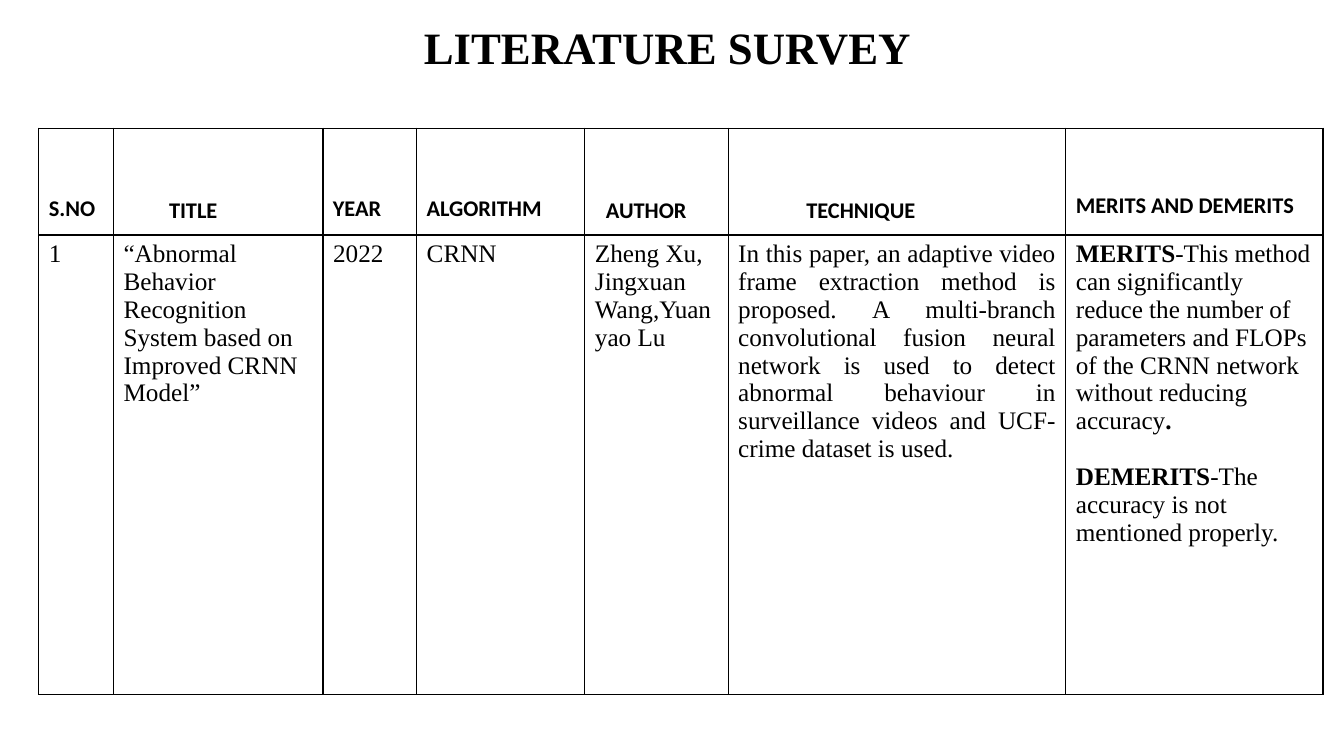
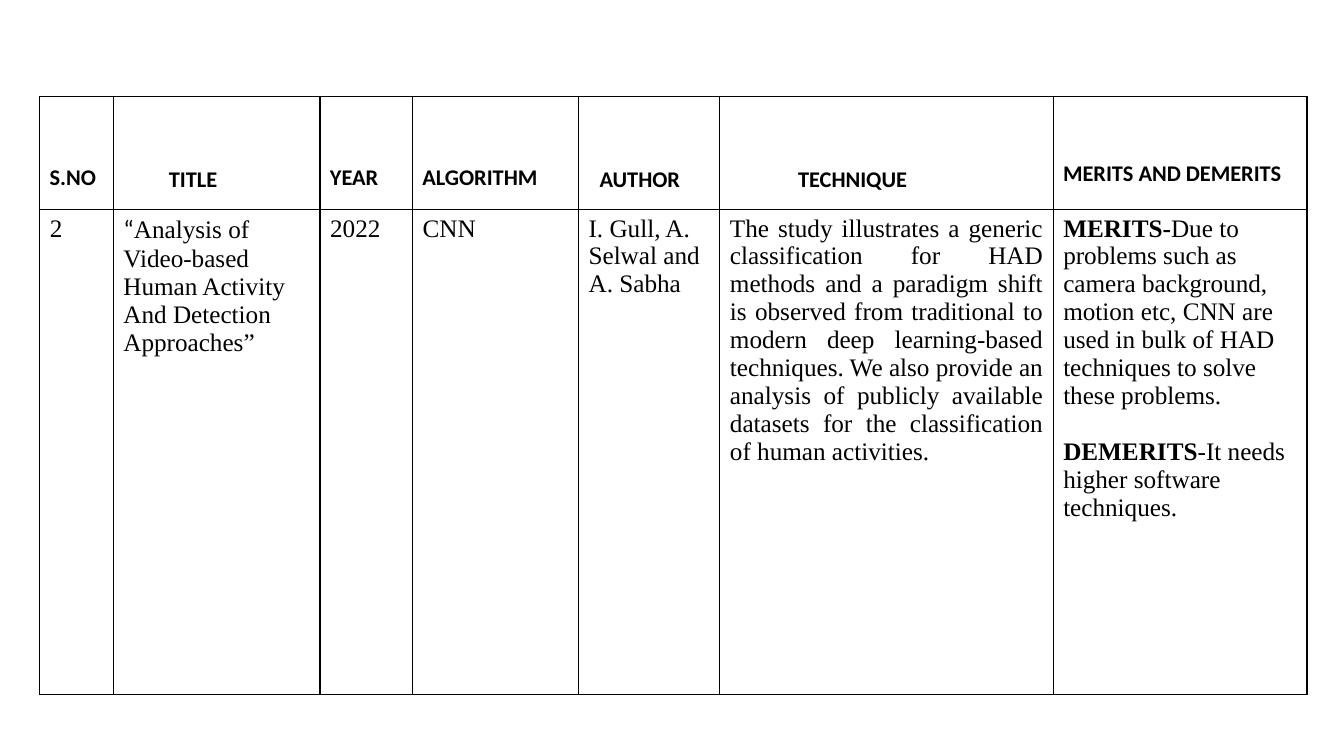
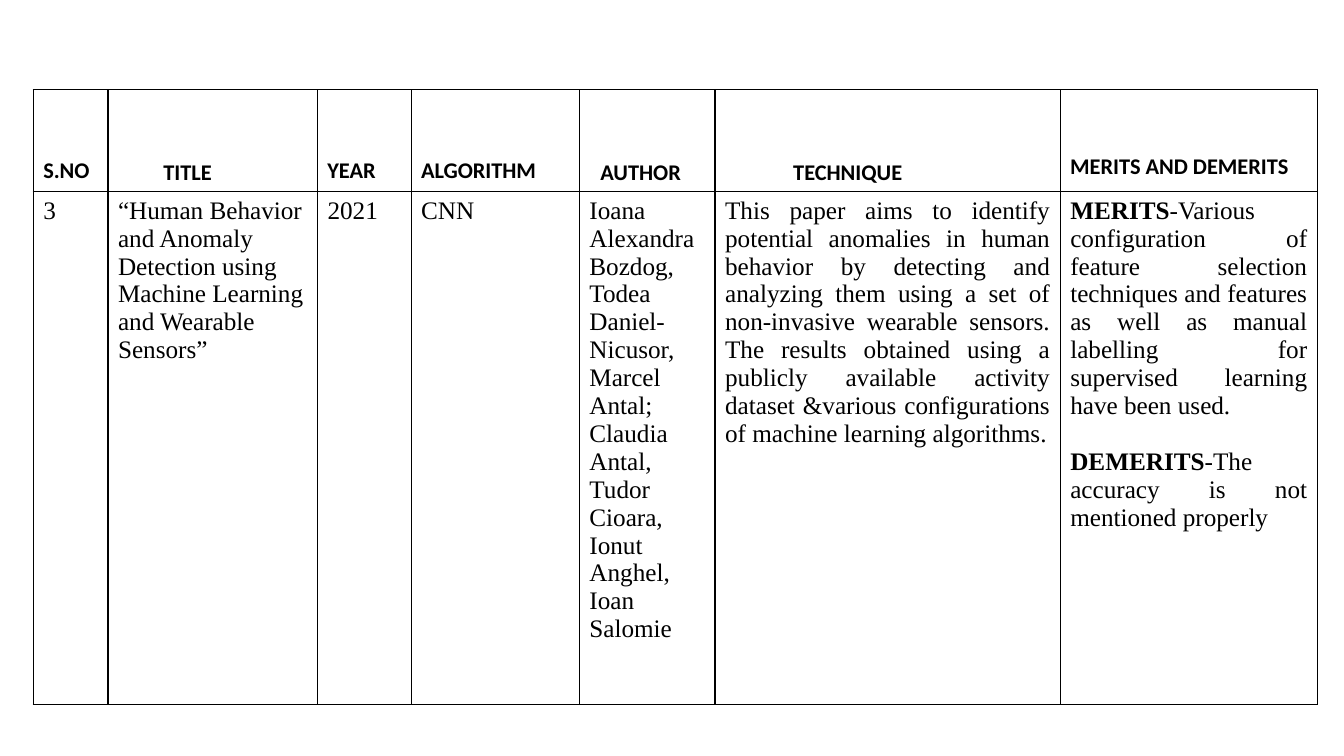
from dataclasses import dataclass

from lxml.etree import SubElement
from pptx import Presentation
from pptx.dml.color import RGBColor
from pptx.enum.text import MSO_ANCHOR, PP_ALIGN
from pptx.oxml.ns import qn
from pptx.util import Cm, Pt


@dataclass(frozen=True)
class Theme:
    ink: str = "000000"
    heading_font: str = "Calibri"
    body_font: str = "Times New Roman"
    title_size: int = 32
    heading_size: int = 16
    body_size: int = 18
    entry_gap: int = 20
    border: int = 1


THEME = Theme()
TITLE = "LITERATURE SURVEY"

HEADINGS = [
    ("S.NO", 0.25, 1.69),
    ("TITLE", 1.4, 1.74),
    ("YEAR", 0.25, 1.69),
    ("ALGORITHM", 0.25, 1.69),
    ("AUTHOR", 0.53, 1.74),
    ("TECHNIQUE", 1.97, 1.74),
    ("MERITS AND DEMERITS", 0.25, 1.6),
]
COLUMN_WIDTHS = [1.88, 5.28, 2.36, 4.24, 3.61, 8.51, 6.48]
AUTHOR, TECHNIQUE, MERITS = 4, 5, 6

SURVEYS = [
    {
        "title": TITLE,
        "left": 0.98, "top": 3.23, "rows": (2.69, 11.58), "scale": 1, "shift": 0,
        "justified": {TECHNIQUE},
        "cells": [
            ["1"],
            ["“Abnormal Behavior Recognition System based on Improved CRNN Model”"],
            ["2022"],
            ["CRNN"],
            ["Zheng Xu,", "Jingxuan Wang,Yuanyao Lu"],
            ["In this paper, an adaptive video frame extraction method is proposed. "
             "A multi-branch convolutional fusion neural network is used to detect abnormal "
             "behaviour in surveillance videos and UCF-crime dataset is used."],
            [[("MERITS", "bold"),
              ("-This method can significantly reduce the number of parameters and FLOPs "
               "of the CRNN network without reducing accuracy", "plain"),
              (".", "bold")],
             [("DEMERITS", "bold"), ("-The accuracy is not mentioned properly.", "plain")]],
        ],
    },
    {
        "left": 1, "top": 2.44, "rows": (2.84, 12.22), "scale": 0.987, "shift": 0,
        "justified": {TECHNIQUE},
        "cells": [
            ["2"],
            [[("“", "quote"),
              ("Analysis of Video-based Human Activity And Detection Approaches”", "plain")]],
            ["2022"],
            ["CNN"],
            ["I. Gull, A. Selwal and A. Sabha"],
            ["The study illustrates a generic classification for HAD methods and a paradigm "
             "shift is observed from traditional to modern deep learning-based techniques. "
             "We also provide an analysis of publicly available datasets for the "
             "classification of human activities."],
            [[("MERITS-", "bold"),
              ("Due to problems such as camera background, motion etc, CNN are used in bulk "
               "of HAD techniques to solve these problems.", "plain")],
             [("DEMERITS", "bold"), ("-It needs higher software techniques.", "plain")]],
        ],
    },
    {
        "left": 0.84, "top": 2.26, "rows": (2.57, 12.93), "scale": 1, "shift": 0.19,
        "justified": {TECHNIQUE, MERITS},
        "cells": [
            ["3"],
            ["“Human Behavior and Anomaly Detection using Machine Learning and Wearable "
             "Sensors”"],
            ["2021"],
            ["CNN"],
            ["Ioana Alexandra Bozdog, Todea Daniel-Nicusor, Marcel Antal; Claudia Antal, "
             "Tudor Cioara, Ionut Anghel, Ioan Salomie"],
            ["This paper aims to identify potential anomalies in human behavior by detecting "
             "and analyzing them using a set of non-invasive wearable sensors. The results "
             "obtained using a publicly available activity dataset &various configurations "
             "of machine learning algorithms."],
            [[("MERITS", "bold"),
              ("-Various configuration of feature selection techniques and features as well "
               "as manual labelling for supervised learning have been used.", "plain")],
             [("DEMERITS", "bold"), ("-The accuracy is not mentioned properly", "plain")]],
        ],
    },
]


def format_run(run, font_name, size, bold):
    run.font.name = font_name
    run.font.size = Pt(size)
    run.font.bold = bold
    run.font.color.rgb = RGBColor.from_string(THEME.ink)


def add_title(slide, text):
    title = slide.shapes.title
    title.left, title.top, title.width, title.height = Cm(1.77), Cm(0.2), Cm(30.1), Cm(2.11)
    title.text_frame.text = text
    title.text_frame.vertical_anchor = MSO_ANCHOR.MIDDLE
    paragraph = title.text_frame.paragraphs[0]
    paragraph.alignment = PP_ALIGN.CENTER
    paragraph.line_spacing = 0.9
    format_run(paragraph.runs[0], THEME.body_font, THEME.title_size, True)


def frame_cell(cell):
    cell.fill.background()
    properties = cell._tc.get_or_add_tcPr()
    for position, side in enumerate(("lnL", "lnR", "lnT", "lnB")):
        line = SubElement(properties, qn(f"a:{side}"), w=str(Pt(THEME.border)))
        fill = SubElement(line, qn("a:solidFill"))
        SubElement(fill, qn("a:srgbClr"), val=THEME.ink)
        properties.insert(position, line)


def fill_heading(cell, text, left, top):
    cell.margin_left, cell.margin_top = Cm(left), Cm(top)
    cell.margin_right = cell.margin_bottom = Cm(0)
    cell.text_frame.text = text
    run = cell.text_frame.paragraphs[0].runs[0]
    format_run(run, THEME.heading_font, THEME.heading_size, True)


def fill_entry(cell, entries, justified, gap):
    frame = cell.text_frame
    for index, entry in enumerate(entries):
        paragraph = frame.add_paragraph() if index else frame.paragraphs[0]
        paragraph.alignment = PP_ALIGN.JUSTIFY if justified else PP_ALIGN.LEFT
        if index and gap:
            paragraph.space_before = Pt(gap)
        for text, style in [(entry, "plain")] if isinstance(entry, str) else entry:
            run = paragraph.add_run()
            run.text = text
            font_name = THEME.heading_font if style == "quote" else THEME.body_font
            format_run(run, font_name, THEME.body_size, style == "bold")


def add_survey_table(slide, survey):
    widths = [width * survey["scale"] for width in COLUMN_WIDTHS]
    widths[AUTHOR] -= survey["shift"]
    widths[TECHNIQUE] += survey["shift"]
    table = slide.shapes.add_table(
        2, len(widths), Cm(survey["left"]), Cm(survey["top"]),
        Cm(sum(widths)), Cm(sum(survey["rows"])),
    ).table
    table.first_row = table.horz_banding = False
    for row, height in zip(table.rows, survey["rows"]):
        row.height = Cm(height)
    for index, width in enumerate(widths):
        table.columns[index].width = Cm(width)
        fill_heading(table.cell(0, index), *HEADINGS[index])
        fill_entry(table.cell(1, index), survey["cells"][index],
                   index in survey["justified"], THEME.entry_gap if index == MERITS else 0)
    for cell in table.iter_cells():
        frame_cell(cell)


def main():
    presentation = Presentation()
    presentation.slide_width, presentation.slide_height = Cm(33.87), Cm(19.05)
    title_layout, blank_layout = presentation.slide_layouts[5], presentation.slide_layouts[6]
    for survey in SURVEYS:
        slide = presentation.slides.add_slide(title_layout if "title" in survey else blank_layout)
        if "title" in survey:
            add_title(slide, survey["title"])
        add_survey_table(slide, survey)
    presentation.save("out.pptx")


if __name__ == "__main__":
    main()
